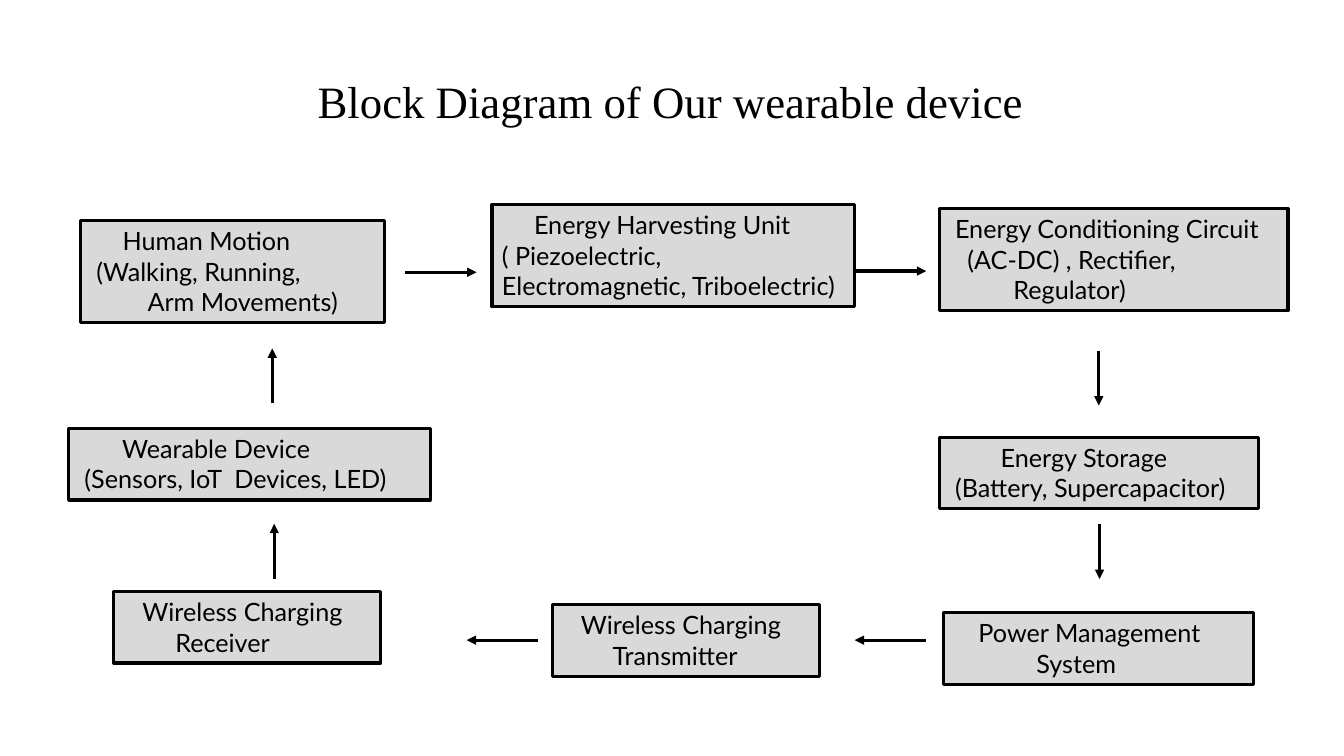
from lxml import etree
from pptx import Presentation
from pptx import util as u
from pptx.dml.color import RGBColor
from pptx.enum import shapes, text
from pptx.oxml.ns import qn

BOXES = [
    (2.03, 5.56, 7.67, [(0.81, "Human Motion"), (0.15, "(Walking, Running,"), (1.44, "Arm Movements)")]),
    (12.4, 5.16, 9.14, [(0.81, "Energy Harvesting Unit ( Piezoelectric, Electromagnetic, Triboelectric)")]),
    (23.67, 5.26, 8.79, [(0.15, "Energy Conditioning Circuit"), (0.46, "(AC-DC) , Rectifier,"), (1.62, "Regulator)")]),
    (23.67, 11.02, 8.05, [(1.3, "Energy Storage"), (0.15, "(Battery, Supercapacitor)")]),
    (23.77, 15.44, 7.82, [(0.64, "Power Management"), (2.1, "System")]),
    (13.92, 15.24, 6.73, [(0.47, "Wireless Charging"), (1.27, "Transmitter")]),
    (2.87, 14.91, 6.73, [(0.47, "Wireless Charging"), (1.3, "Receiver")]),
    (1.73, 10.8, 9.12, [(1.1, "Wearable Device"), (0.15, "(Sensors, IoT  Devices, LED)")]),
]
ACROSS, DOWN = 1.8, 1.38
ARROWS = [
    (10.21, 6.86, ACROSS, 0),
    (21.54, 6.83, ACROSS, 0),
    (27.69, 8.84, 0, DOWN),
    (27.71, 13.21, 0, DOWN),
    (23.34, 16.13, -ACROSS, 0),
    (13.56, 16.13, -ACROSS, 0),
    (6.91, 14.58, 0, -DOWN),
    (6.86, 10.16, 0, -DOWN),
]
TALL, SHORT = 2.57, 1.8


def colour(code):
    return RGBColor.from_string(code)


class Diagram:
    ink, panel = "000000", "D9D9D9"
    title_font, body_font = "Times New Roman", "Lato"
    line_width = u.Pt(2.25)

    def __init__(self, deck):
        self.slide = deck.slides.add_slide(deck.slide_layouts[5])

    def style_text(self, para, font, size):
        para.alignment = text.PP_ALIGN.LEFT
        for span in para.runs:
            span.font.name = font
            span.font.size = u.Pt(size)
            span.font.color.rgb = colour(self.ink)

    def style_line(self, line):
        line.color.rgb = colour(self.ink)
        line.width = self.line_width

    def title(self, words, left, top, width, height):
        title = self.slide.shapes.title
        title.left, title.top = u.Cm(left), u.Cm(top)
        title.width, title.height = u.Cm(width), u.Cm(height)
        frame = title.text_frame
        frame.text = words
        frame.word_wrap = True
        frame.vertical_anchor = text.MSO_ANCHOR.TOP
        self.style_text(frame.paragraphs[0], self.title_font, 32)

    def box(self, left, top, width, height, lines):
        box = self.slide.shapes.add_shape(
            shapes.MSO_SHAPE.RECTANGLE, u.Cm(left), u.Cm(top), u.Cm(width), u.Cm(height))
        box.shadow.inherit = False
        box.fill.solid()
        box.fill.fore_color.rgb = colour(self.panel)
        self.style_line(box.line)
        frame = box.text_frame
        frame.word_wrap = True
        frame.vertical_anchor = text.MSO_ANCHOR.TOP
        frame.text = "\n".join(words for indent, words in lines)
        for para, (indent, words) in zip(frame.paragraphs, lines):
            self.style_text(para, self.body_font, 18)
            para._p.get_or_add_pPr().set("indent", str(u.Cm(indent)))

    def arrow(self, left, top, across, down):
        arrow = self.slide.shapes.add_connector(
            shapes.MSO_CONNECTOR.STRAIGHT, u.Cm(left), u.Cm(top), u.Cm(left + across), u.Cm(top + down))
        self.style_line(arrow.line)
        etree.SubElement(arrow.line._get_or_add_ln(), qn("a:tailEnd"), type="triangle")
        etree.SubElement(arrow._element.spPr, qn("a:effectLst"))


def main():
    deck = Presentation()
    deck.slide_width, deck.slide_height = u.Cm(33.87), u.Cm(19.05)
    diagram = Diagram(deck)
    diagram.title("Block Diagram of Our wearable device", 7.75, 1.73, 21.56, 2.39)
    for left, top, width, lines in BOXES:
        diagram.box(left, top, width, SHORT if len(lines) == 2 else TALL, lines)
    for arrow in ARROWS:
        diagram.arrow(*arrow)
    deck.save("out.pptx")


if __name__ == "__main__":
    main()
